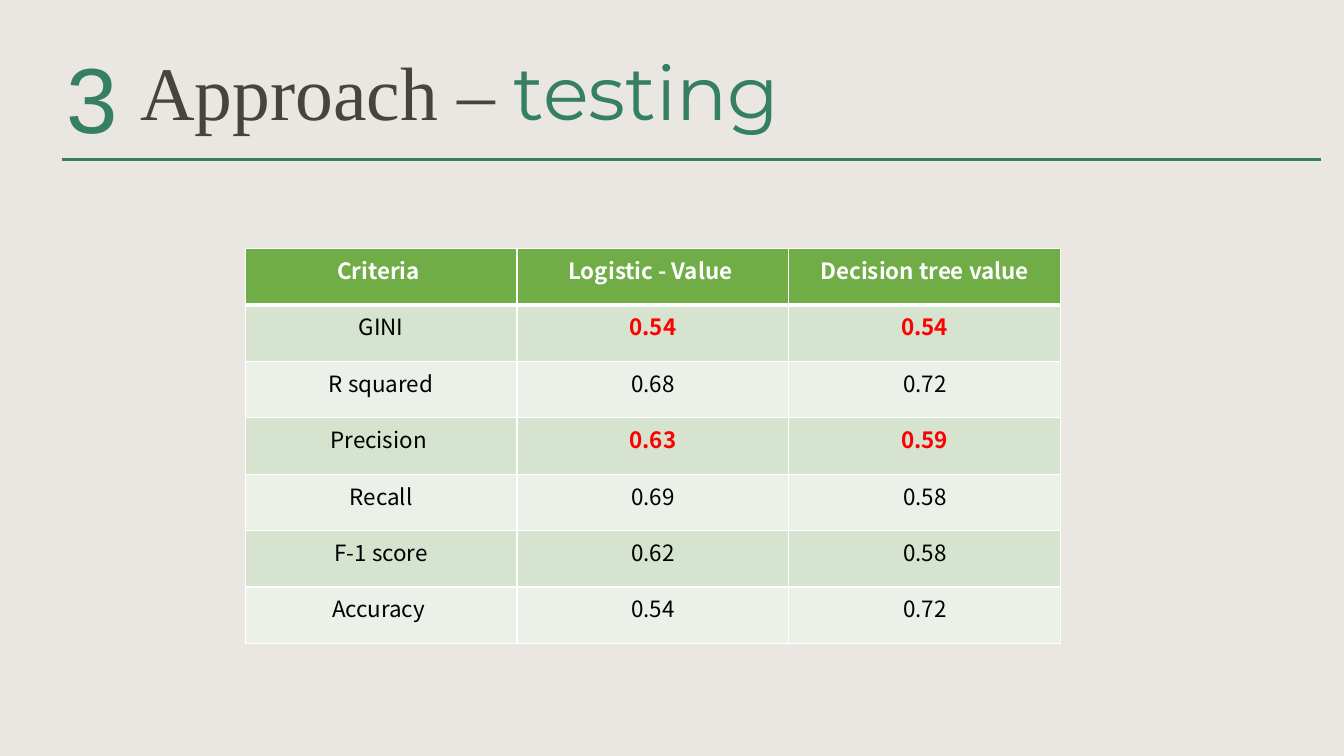
from lxml import etree
from pptx import Presentation
from pptx.dml.color import RGBColor
from pptx.enum.shapes import MSO_CONNECTOR as CONNECTOR
from pptx.enum.text import MSO_ANCHOR as ANCHOR, MSO_AUTO_SIZE as AUTO_SIZE, PP_ALIGN as ALIGN
from pptx.oxml import parse_xml
from pptx.oxml.ns import nsdecls, qn
from pptx.util import Cm, Pt

COLORS = {
    "background": "EAE7E3", "accent": "357F63", "title": "44463E",
    "header": "70AD47", "band_dark": "D5E3CF", "band_light": "EBF1E9",
    "white": "FFFFFF", "text": "000000", "highlight": "FF0000",
}
TABLE_FONT = "Noto Sans CJK SC"
RESULTS = [
    ("Criteria ", "Logistic - Value ", "Decision tree value"),
    ("GINI", "0.54", "0.54"),
    ("R squared", "0.68", "0.72"),
    ("Precision ", "0.63", "0.59"),
    ("Recall", "0.69", "0.58"),
    ("F-1 score", "0.62", "0.58"),
    ("Accuracy ", "0.54", "0.72"),
]
HIGHLIGHTED = {"GINI", "Precision "}


def rgb(name):
    return RGBColor.from_string(COLORS[name])


def style_run(r, font, size, color, bold=False):
    r.font.name = font
    r.font.size = Pt(size)
    r.font.color.rgb = rgb(color)
    r.font.bold = bold


def set_borders(cell, top, bottom):
    """Draw white cell borders; top and bottom are widths in points."""
    tcPr = cell._tc.get_or_add_tcPr()
    for i, (side, width) in enumerate(zip("LRTB", (1, 1, top, bottom))):
        tcPr.insert(i, parse_xml(
            f'<a:ln{side} {nsdecls("a")} w="{Pt(width)}"><a:solidFill>'
            f'<a:srgbClr val="{COLORS["white"]}"/></a:solidFill></a:ln{side}>'))


def add_heading(slide, left, top, width):
    """Place the section number, the title and the rule below them."""
    rule_y = top + Cm(3.1)
    rule = slide.shapes.add_connector(
        CONNECTOR.STRAIGHT, left + Cm(0.15), rule_y, left + width, rule_y)
    rule.line.color.rgb = rgb("accent")
    rule.line.width = Pt(2.25)
    etree.SubElement(rule._element.spPr, qn("a:effectLst"))

    title = slide.shapes.title
    title.left, title.top = left + Cm(1.86), top - Cm(0.02)
    title.width, title.height = Cm(29.69), Cm(2.67)
    tf = title.text_frame
    tf.auto_size = AUTO_SIZE.NONE
    tf.word_wrap = True
    tf.vertical_anchor = ANCHOR.BOTTOM
    p = tf.paragraphs[0]
    p.alignment = ALIGN.LEFT
    p.line_spacing = 0.9
    for text, font, color in (("Approach – ", "Times New Roman", "title"),
                              ("testing", "Montserrat", "accent")):
        r = p.add_run()
        r.text = text
        style_run(r, font, 54, color)

    number = slide.shapes.add_textbox(left, top, Cm(1.85), Cm(3.07))
    tf = number.text_frame
    tf.word_wrap = False
    tf.auto_size = AUTO_SIZE.SHAPE_TO_FIT_TEXT
    tf.text = "3"
    style_run(tf.paragraphs[0].runs[0], "Arial", 66, "accent")


def add_results_table(slide, left, top, width, height):
    table = slide.shapes.add_table(
        len(RESULTS), len(RESULTS[0]), left, top, width, height).table
    for i, row in enumerate(RESULTS):
        for j, text in enumerate(row):
            cell = table.cell(i, j)
            cell.text = text
            if i == 0:
                fill, color = "header", "white"
            else:
                fill = "band_dark" if i % 2 else "band_light"
                color = "highlight" if j and row[0] in HIGHLIGHTED else "text"
            cell.fill.solid()
            cell.fill.fore_color.rgb = rgb(fill)
            set_borders(cell, top=3 if i == 1 else 1, bottom=3 if i == 0 else 1)
            p = cell.text_frame.paragraphs[0]
            p.alignment = ALIGN.CENTER
            style_run(p.runs[0], TABLE_FONT, 16, color, bold=color != "text")


def main():
    prs = Presentation()
    prs.slide_width, prs.slide_height = Cm(33.87), Cm(19.05)
    slide = prs.slides.add_slide(prs.slide_layouts[5])
    slide.background.fill.solid()
    slide.background.fill.fore_color.rgb = rgb("background")
    add_heading(slide, Cm(1.42), Cm(0.92), Cm(31.88))
    add_results_table(slide, Cm(6.18), Cm(6.26), Cm(20.55), Cm(9.96))
    prs.save("out.pptx")


if __name__ == "__main__":
    main()
